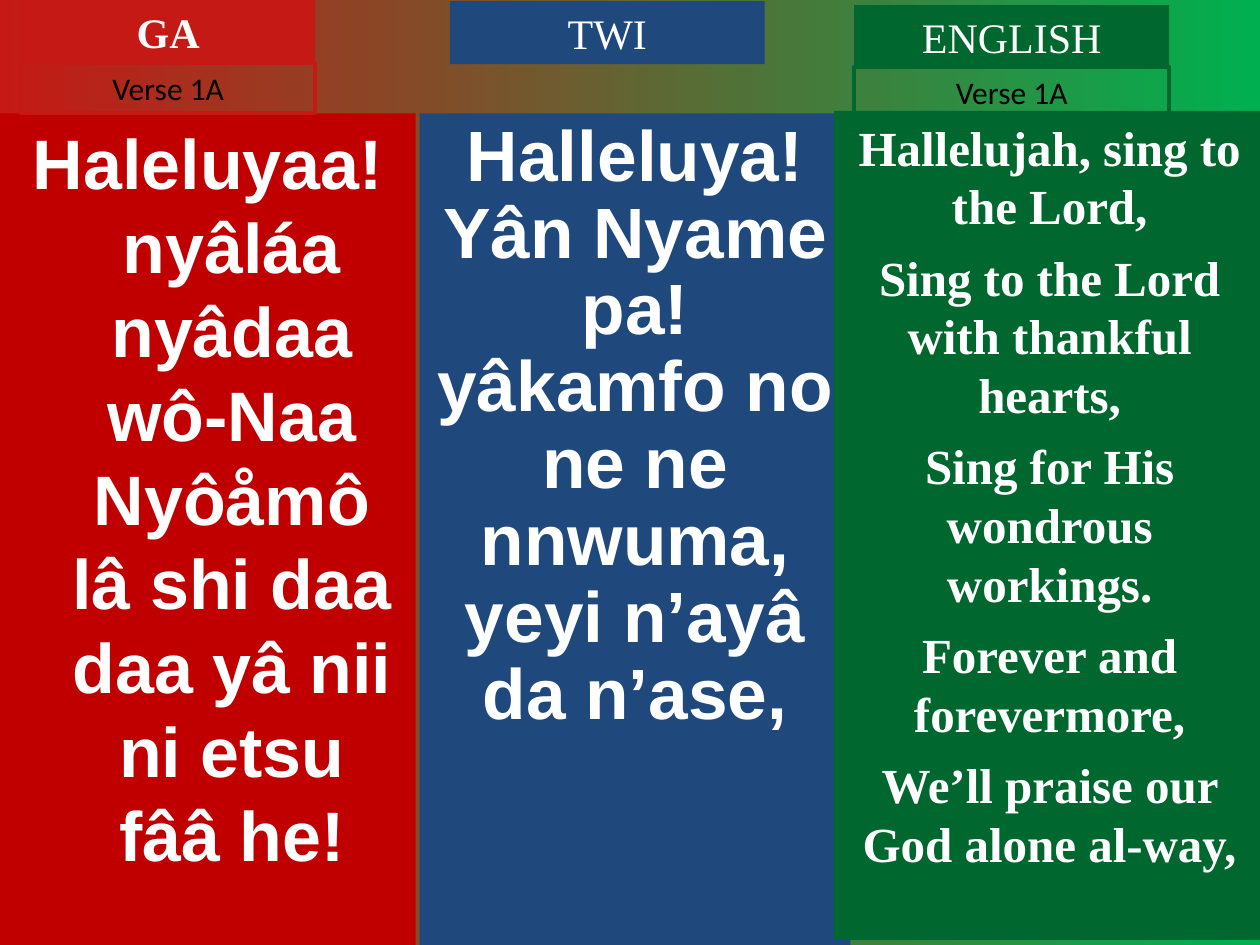
from pptx import Presentation
from pptx.dml.color import RGBColor
from pptx.enum.shapes import MSO_SHAPE
from pptx.enum.text import MSO_ANCHOR, PP_ALIGN
from pptx.util import Inches, Pt

RED = RGBColor(0xC5, 0x19, 0x15)
DEEP_RED = RGBColor(0xC0, 0x00, 0x00)
BLUE = RGBColor(0x1F, 0x49, 0x7D)
GREEN = RGBColor(0x00, 0x68, 0x2F)
LIME = RGBColor(0x00, 0xB0, 0x50)
WHITE = RGBColor(0xFF, 0xFF, 0xFF)
BLACK = RGBColor(0x00, 0x00, 0x00)

SERIF = "Times New Roman"
SANS = "Arial"
LABEL = "Calibri"


class Deck:
    def __init__(self):
        self.prs = Presentation()
        self.prs.slide_width, self.prs.slide_height = Inches(10), Inches(7.5)
        self.slide = self.prs.slides.add_slide(self.prs.slide_layouts[6])

    def backdrop(self, left, right):
        fill = self.slide.background.fill
        fill.gradient()
        fill.gradient_angle = 0
        for stop, color, place in zip(fill.gradient_stops, (left, right), (0, 1)):
            stop.color.rgb = color
            stop.position = place

    def box(self, area, lines, font, size, color=WHITE, bold=False,
            fill=None, edge=None, gap=0, pitch=None, hang=0):
        """Draw a rectangle with centred lines; hang is the hanging indent in inches."""
        shape = self.slide.shapes.add_shape(
            MSO_SHAPE.RECTANGLE, *(Inches(n) for n in area))
        shape.shadow.inherit = False
        if fill is None:
            shape.fill.background()
        else:
            shape.fill.solid()
            shape.fill.fore_color.rgb = fill
        if edge is None:
            shape.line.fill.background()
        else:
            shape.line.color.rgb = edge
            shape.line.width = Pt(2.25)
        frame = shape.text_frame
        frame.word_wrap = True
        frame.vertical_anchor = MSO_ANCHOR.TOP
        for i, line in enumerate(lines):
            para = frame.paragraphs[0] if i == 0 else frame.add_paragraph()
            para.text = line
            para.alignment = PP_ALIGN.CENTER
            if i and gap:
                para.space_before = Pt(gap)
            if pitch:
                para.line_spacing = pitch
            if hang:
                props = para._p.get_or_add_pPr()
                props.set("marL", str(Inches(hang)))
                props.set("indent", str(Inches(-hang)))
            para.font.name = font
            para.font.size = Pt(size)
            para.font.bold = bold
            para.font.color.rgb = color

    def title(self, left, top, width, text, fill, bold=False):
        self.box((left, top, width, 0.5), [text], SERIF, 24, bold=bold, fill=fill)

    def verse(self, left, top, width, text, edge):
        self.box((left, top, width, 0.4), [text], LABEL, 18, BLACK, edge=edge)


def main():
    deck = Deck()
    deck.backdrop(RED, LIME)

    deck.box((0, 0.9, 3.3, 6.6),
             ["Haleluyaa! nyâláa nyâdaa wô-Naa Nyôåmô lâ shi daa daa yâ nii "
              "ni etsu fââ he!"],
             SANS, 40, bold=True, fill=DEEP_RED, hang=0.38)
    deck.box((3.33, 0.9, 3.42, 6.6),
             ["Halleluya! Yân Nyame pa! yâkamfo no ne ne nnwuma,",
              "yeyi n’ayâ da n’ase,"],
             SANS, 40.7, bold=True, fill=BLUE, pitch=0.9)

    deck.title(0.17, 0, 2.33, "GA", RED, bold=True)
    deck.title(3.57, 0.01, 2.5, "TWI", BLUE)
    deck.verse(0.17, 0.5, 2.33, "Verse 1A", RED)

    deck.box((6.62, 0.88, 3.42, 6.58),
             ["Hallelujah, sing to the Lord,",
              "Sing to the Lord with thankful hearts,",
              "Sing for His wondrous workings.",
              "Forever and forevermore,",
              "We’ll praise our God alone al-way,"],
             SERIF, 28, bold=True, fill=GREEN, gap=7)

    deck.title(6.78, 0.04, 2.5, "ENGLISH", GREEN)
    deck.verse(6.78, 0.53, 2.5, "Verse 1A", GREEN)

    deck.prs.save("out.pptx")


if __name__ == "__main__":
    main()
